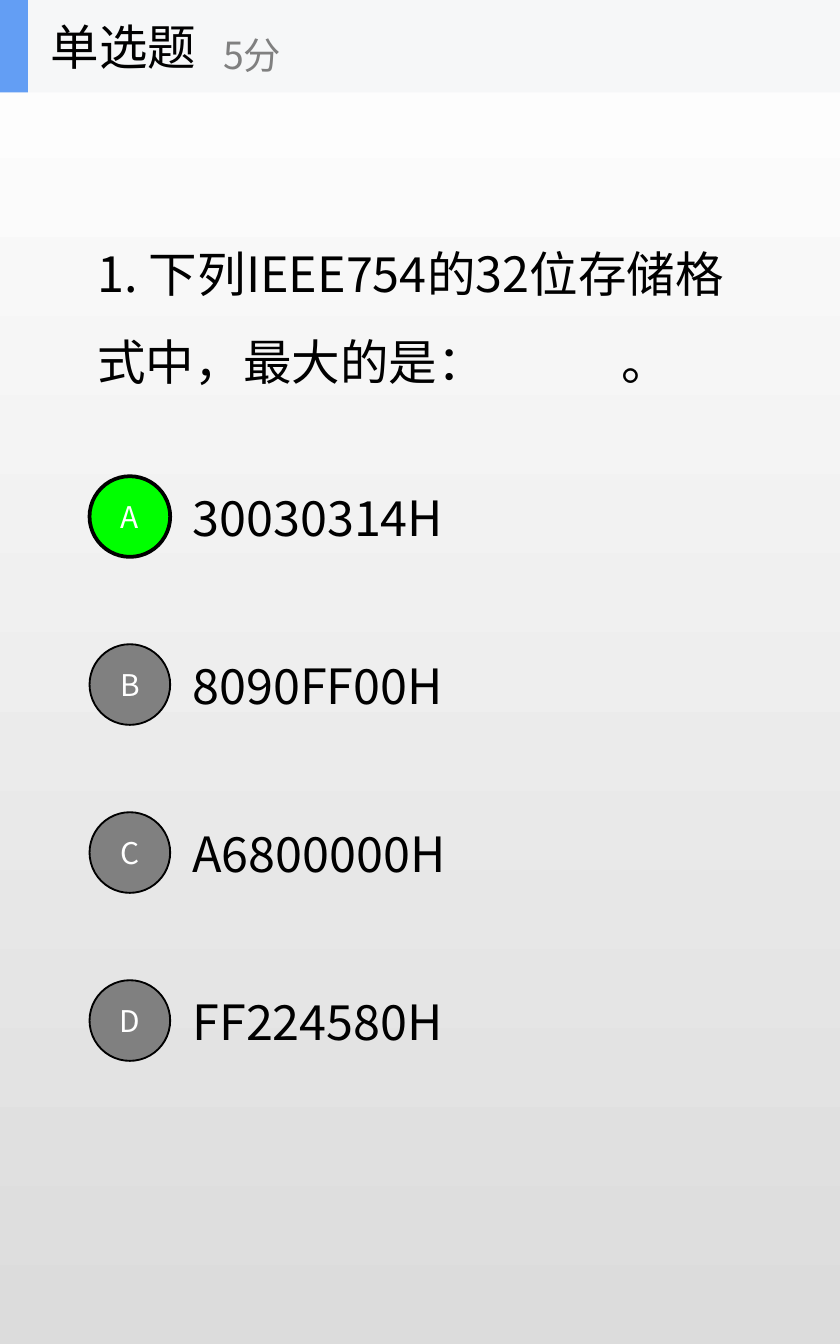
from dataclasses import dataclass

import pptx
import pptx.dml.color
import pptx.enum.shapes
import pptx.enum.text
import pptx.oxml
import pptx.oxml.ns
import pptx.util
from pptx.util import Pt

SHAPE = pptx.enum.shapes.MSO_SHAPE
ALIGN = pptx.enum.text.PP_ALIGN


@dataclass(frozen=True)
class Theme:
    font: str = "Noto Sans CJK SC"
    text: str = "000000"
    muted: str = "808080"
    white: str = "FFFFFF"
    background_end: str = "DCDCDC"
    correct: str = "00FF00"
    band: str = "F6F7F8"
    accent: str = "639EF4"
    main_size: int = 26
    score_size: int = 20
    letter_size: int = 16


THEME = Theme()
PAGE_WIDTH, PAGE_HEIGHT = 450, 720
HEADER_HEIGHT = 49.5
OPTIONS = ["30030314H", "8090FF00H", "A6800000H", "FF224580H"]
CORRECT_OPTION = 0
FIRST_ROW, ROW_STEP, ROW_HEIGHT = 243, 90, 67.5
CIRCLE = 43.2


def rgb(value):
    return pptx.dml.color.RGBColor.from_string(value)


def add_span(para, text, size=THEME.main_size, color=THEME.text, underline=None):
    span = para.add_run()
    span.text = text
    span.font.size = Pt(size)
    span.font.color.rgb = rgb(color)
    span.font.underline = underline
    span.font.name = THEME.font
    # East Asian characters take their own typeface entry
    east_asian = pptx.oxml.parse_xml(
        f'<a:ea {pptx.oxml.ns.nsdecls("a")} typeface="{THEME.font}"/>')
    span.font.fill  # the fill precedes the typefaces
    span.font._element.append(east_asian)


def place(shape, left, top, width, height):
    shape.left, shape.top = Pt(left), Pt(top)
    shape.width, shape.height = Pt(width), Pt(height)


def prepare_frame(frame, wrap=True):
    frame.word_wrap = wrap
    frame.auto_size = pptx.enum.text.MSO_AUTO_SIZE.NONE
    frame.vertical_anchor = pptx.enum.text.MSO_ANCHOR.MIDDLE
    return frame.paragraphs[0]


def add_label(shapes, text, left, top, width, height, wrap=True, **style):
    box = shapes.add_textbox(Pt(left), Pt(top), Pt(width), Pt(height))
    add_span(prepare_frame(box.text_frame, wrap), text, **style)


def add_filled(shapes, kind, left, top, width, height, fill, line_width=0):
    shape = shapes.add_shape(kind, Pt(left), Pt(top), Pt(width), Pt(height))
    shape.shadow.inherit = False
    shape.fill.solid()
    shape.fill.fore_color.rgb = rgb(fill)
    if line_width:
        shape.line.color.rgb = rgb(THEME.text)
        shape.line.width = Pt(line_width)
    else:
        shape.line.fill.background()
    return shape


def paint_background(page):
    fill = page.background.fill
    fill.gradient()
    fill.gradient_angle = 270
    for stop, color in zip(fill.gradient_stops, (THEME.white, THEME.background_end)):
        stop.color.rgb = rgb(color)


def write_question(page):
    title = page.shapes.title
    place(title, 45, 49.5, 360, 225)
    para = prepare_frame(title.text_frame)
    para.alignment = ALIGN.LEFT
    para.line_spacing = 1.5
    # The answer blank is an underlined tab that ends at this stop
    para._p.get_or_add_pPr().append(pptx.oxml.parse_xml(
        f'<a:tabLst {pptx.oxml.ns.nsdecls("a")}>'
        f'<a:tab pos="{Pt(281)}" algn="l"/></a:tabLst>'))
    add_span(para, "1. 下列IEEE754的32位存储格式中，最大的是：")
    add_span(para, "\t", underline=True)
    add_span(para, "。", underline=False)


def add_option_circle(shapes, index):
    correct = index == CORRECT_OPTION
    top = FIRST_ROW + index * ROW_STEP + (ROW_HEIGHT - CIRCLE) / 2
    circle = add_filled(shapes, SHAPE.OVAL, 48, top, CIRCLE, CIRCLE,
                        THEME.correct if correct else THEME.muted,
                        2 if correct else 1)
    frame = circle.text_frame
    frame.margin_left = frame.margin_right = 0
    para = prepare_frame(frame)
    para.alignment = ALIGN.CENTER
    add_span(para, "ABCD"[index], THEME.letter_size, THEME.white)


def add_header(page):
    shapes = page.shapes.add_group_shape().shapes
    add_filled(shapes, SHAPE.RECTANGLE, 0, 0, PAGE_WIDTH, HEADER_HEIGHT, THEME.band)
    add_filled(shapes, SHAPE.RECTANGLE, 0, 0, 15, HEADER_HEIGHT, THEME.accent)
    add_label(shapes, "单选题", 20, 0, 150, HEADER_HEIGHT, wrap=False)
    add_label(shapes, "5分", 112.5, 9, 180, 40.5, wrap=False,
              size=THEME.score_size, color=THEME.muted)


def main():
    deck = pptx.Presentation()
    deck.slide_width, deck.slide_height = Pt(PAGE_WIDTH), Pt(PAGE_HEIGHT)
    page = deck.slides.add_slide(deck.slide_layouts[5])
    paint_background(page)

    # Question and answers
    write_question(page)
    for index, answer in enumerate(OPTIONS):
        add_label(page.shapes, answer, 96, FIRST_ROW + index * ROW_STEP,
                  315, ROW_HEIGHT)
    for index in range(len(OPTIONS)):
        add_option_circle(page.shapes, index)

    # Question type and score
    add_header(page)
    deck.save("out.pptx")


if __name__ == "__main__":
    main()
